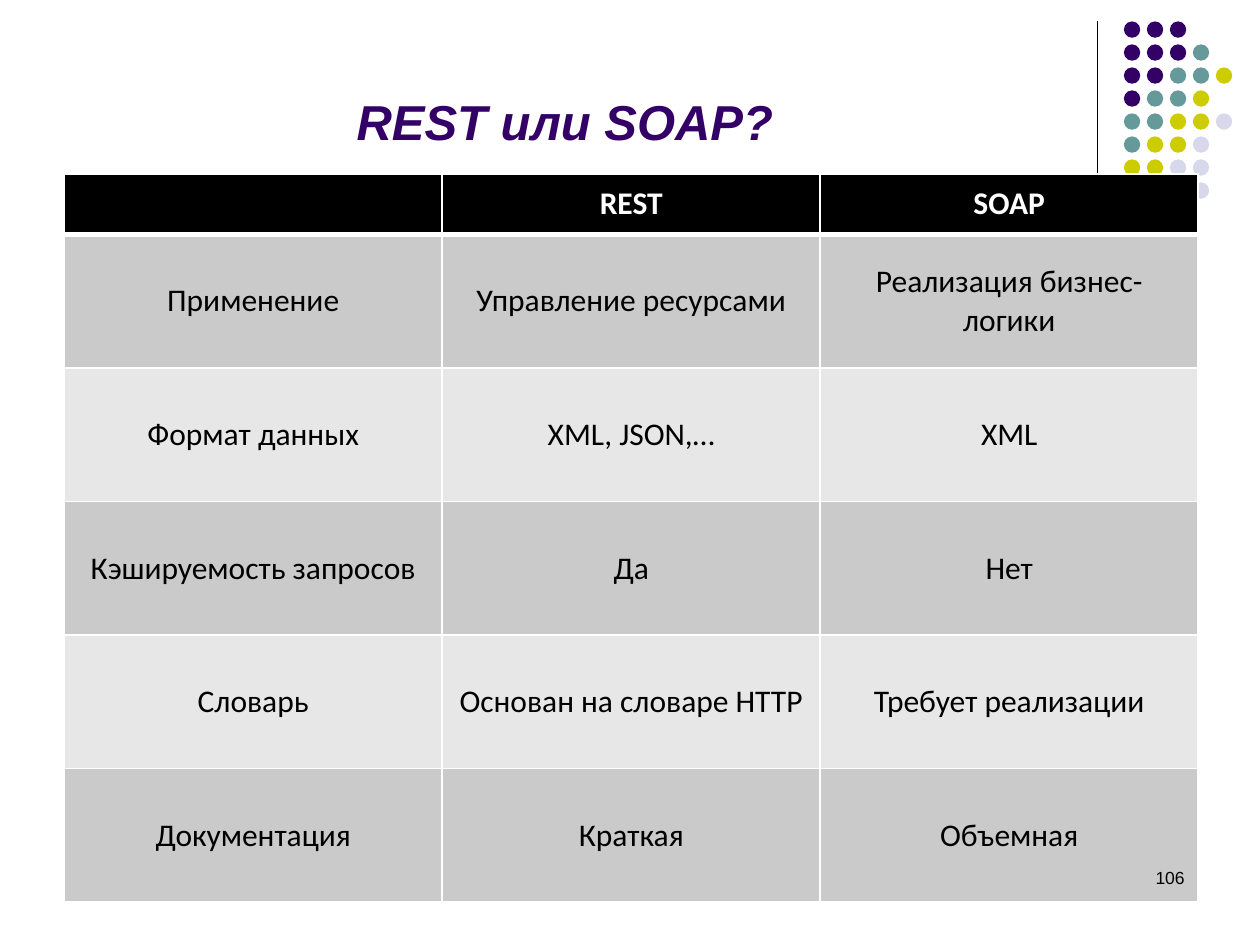
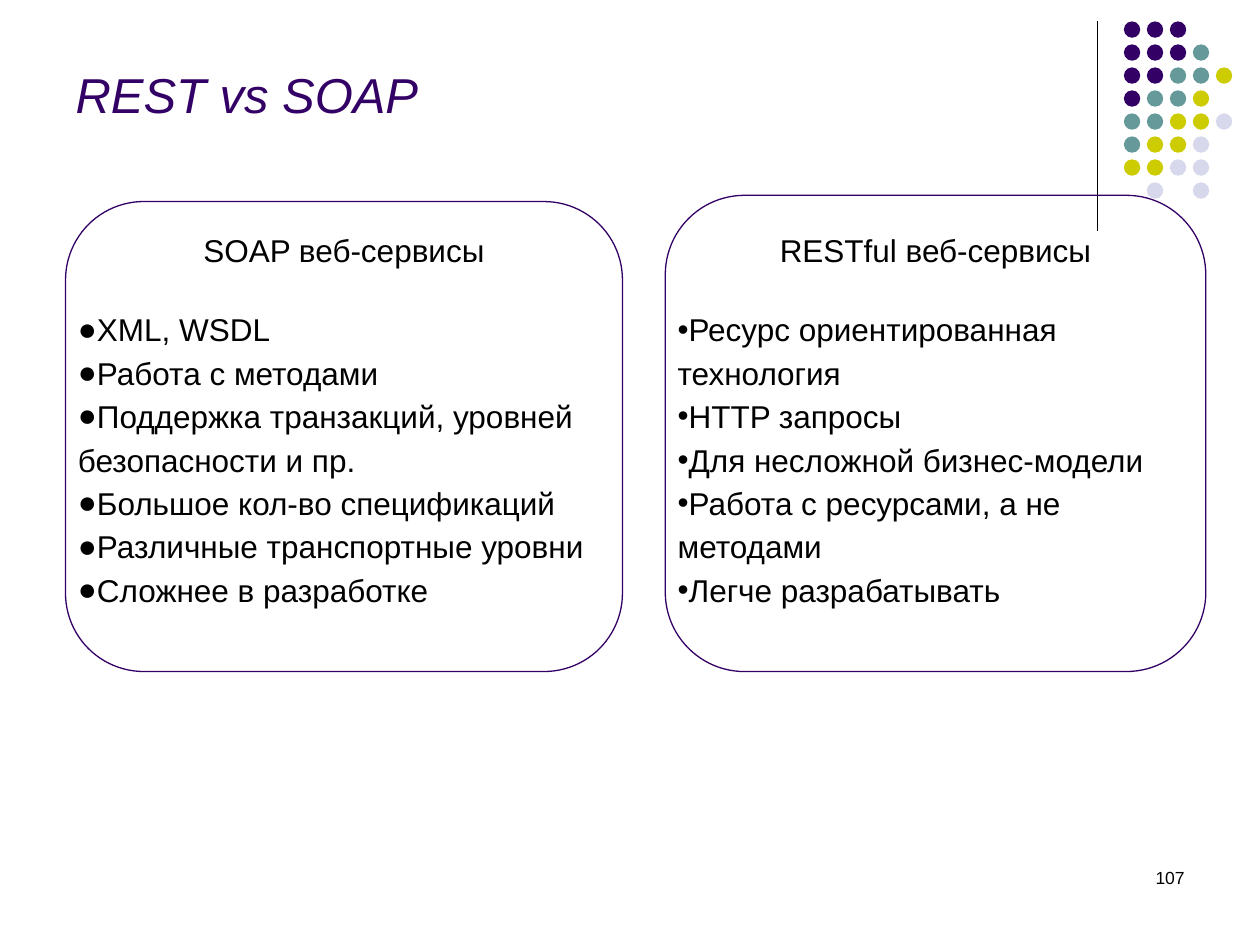
from lxml import etree
from pptx import Presentation
from pptx import util as u
from pptx.dml.color import RGBColor
from pptx.enum import shapes, text
from pptx.oxml import ns

PURPLE = RGBColor(0x33, 0x00, 0x66)
TEAL = RGBColor(0x66, 0x99, 0x99)
LIME = RGBColor(0xCC, 0xCC, 0x00)
LAVENDER = RGBColor(0xD8, 0xD8, 0xEC)
BLACK = RGBColor(0x00, 0x00, 0x00)
WHITE = RGBColor(0xFF, 0xFF, 0xFF)
BAND_DARK = RGBColor(0xCA, 0xCA, 0xCA)
BAND_LIGHT = RGBColor(0xE7, 0xE7, 0xE7)

BODY_FONT = "Arial"
TABLE_FONT = "Calibri"

DOT_COLOURS = {"P": PURPLE, "T": TEAL, "Y": LIME, "L": LAVENDER}
DOT_ROWS = ["PPP", "PPPT", "PPTTY", "PTTY", "TTYYL", "TYYL", "YYLL", " L L"]
DOT_SIZE = 0.13
DOT_PITCH = 0.73 / 4

COMPARISON = [
    ["", "REST", "SOAP"],
    ["Применение", "Управление ресурсами", "Реализация бизнес-\nлогики"],
    ["Формат данных", "XML, JSON,…", "XML"],
    ["Кэшируемость запросов", "Да", "Нет"],
    ["Словарь", "Основан на словаре HTTP", "Требует реализации"],
    ["Документация", "Краткая", "Объемная"],
]
SOAP_POINTS = [
    "XML, WSDL",
    "Работа с методами",
    "Поддержка транзакций, уровней безопасности и пр.",
    "Большое кол-во спецификаций",
    "Различные транспортные уровни",
    "Сложнее в разработке",
]
REST_POINTS = [
    "Ресурс ориентированная технология",
    "HTTP запросы",
    "Для несложной бизнес-модели",
    "Работа с ресурсами, а не методами",
    "Легче разрабатывать",
]


def inches(box):
    """Convert a box of numbers to lengths."""
    return [u.Inches(length) for length in box]


def format_paragraph(paragraph, size, colour, font=BODY_FONT, bold=False, italic=False,
                     align=text.PP_ALIGN.LEFT):
    """Align a paragraph and style all its runs."""
    paragraph.alignment = align
    for run in paragraph.runs:
        run.font.name = font
        run.font.size = u.Pt(size)
        run.font.bold = bold
        run.font.italic = italic
        run.font.color.rgb = colour


def add_dots(slide, left, top):
    """Draw the triangular field of coloured dots."""
    dots = slide.shapes.add_group_shape()
    for row, pattern in enumerate(DOT_ROWS):
        for column, key in enumerate(pattern):
            if key in DOT_COLOURS:
                box = (left + column * DOT_PITCH, top + row * DOT_PITCH, DOT_SIZE, DOT_SIZE)
                dot = dots.shapes.add_shape(shapes.MSO_SHAPE.OVAL, *inches(box))
                dot.shadow.inherit = False
                dot.fill.solid()
                dot.fill.fore_color.rgb = DOT_COLOURS[key]
                dot.line.fill.background()


def add_rule(slide, x, top, bottom):
    """Draw the thin vertical rule beside the dots."""
    rule = slide.shapes.add_connector(shapes.MSO_CONNECTOR.STRAIGHT, *inches((x, top, x, bottom)))
    rule.line.color.rgb = BLACK
    rule.line.width = u.Pt(0.75)
    etree.SubElement(rule._element.spPr, ns.qn("a:effectLst"))


def add_page_number(slide, number, box):
    """Write the page number at the right of its box."""
    page_number = slide.shapes.add_textbox(*inches(box))
    page_number.text_frame.word_wrap = True
    page_number.text_frame.text = str(number)
    format_paragraph(page_number.text_frame.paragraphs[0], 10, BLACK, align=text.PP_ALIGN.RIGHT)


def add_base_slide(deck, heading, title_box, number, bold=False):
    """Add a titled slide with the shared decoration and page number."""
    slide = deck.slides.add_slide(deck.slide_layouts[5])
    add_rule(slide, 8.71, 0.17, 1.83)
    add_dots(slide, 8.92, 0.17)
    title = slide.shapes.title
    title.left, title.top, title.width, title.height = inches(title_box)
    frame = title.text_frame
    frame.text = heading
    frame.word_wrap = True
    frame.auto_size = text.MSO_AUTO_SIZE.NONE
    frame.vertical_anchor = text.MSO_ANCHOR.BOTTOM
    format_paragraph(frame.paragraphs[0], 28, PURPLE, bold=bold, italic=True)
    return slide


def set_borders(cell, top, bottom):
    """Give a cell white borders, with top and bottom widths in points."""
    properties = cell._tc.get_or_add_tcPr()
    for tag, width in (("lnL", 1), ("lnR", 1), ("lnT", top), ("lnB", bottom)):
        line = etree.SubElement(properties, ns.qn(f"a:{tag}"), w=str(u.Pt(width)))
        fill = etree.SubElement(line, ns.qn("a:solidFill"))
        etree.SubElement(fill, ns.qn("a:srgbClr"), val=str(WHITE))


def add_comparison(slide, rows, box, header_height):
    """Add the comparison table with a header and equal banded rows."""
    left, top, width, height = box
    table = slide.shapes.add_table(len(rows), len(rows[0]), *inches(box)).table
    row_height = (height - header_height) / (len(rows) - 1)
    for column in table.columns:
        column.width = u.Inches(width / len(rows[0]))
    for r, labels in enumerate(rows):
        is_header = r == 0
        table.rows[r].height = u.Inches(header_height if is_header else row_height)
        band = BLACK if is_header else (BAND_DARK if r % 2 else BAND_LIGHT)
        for c, label in enumerate(labels):
            cell = table.cell(r, c)
            set_borders(cell, 3 if r == 1 else 1, 3 if is_header else 1)
            cell.fill.solid()
            cell.fill.fore_color.rgb = band
            cell.margin_left = cell.margin_right = cell.margin_top = cell.margin_bottom = 0
            cell.vertical_anchor = text.MSO_ANCHOR.MIDDLE
            cell.text_frame.text = label
            for paragraph in cell.text_frame.paragraphs:
                format_paragraph(paragraph, 18, WHITE if is_header else BLACK, TABLE_FONT,
                                 bold=is_header, align=text.PP_ALIGN.CENTER)


def add_bullet(paragraph, mark):
    """Give a paragraph a black bullet that the text follows directly."""
    properties = paragraph._p.get_or_add_pPr()
    properties.set("marL", "0")
    properties.set("indent", str(u.Inches(-0.12)))
    colour = etree.SubElement(properties, ns.qn("a:buClr"))
    etree.SubElement(colour, ns.qn("a:srgbClr"), val=str(BLACK))
    etree.SubElement(properties, ns.qn("a:buFont"), typeface=BODY_FONT)
    etree.SubElement(properties, ns.qn("a:buChar"), char=mark)


def add_panel(slide, heading, points, mark, box, text_top):
    """Draw a rounded outline with a centred heading and a bulleted list."""
    left, top, width, height = box
    outline = slide.shapes.add_shape(shapes.MSO_SHAPE.ROUNDED_RECTANGLE, *inches(box))
    outline.shadow.inherit = False
    outline.adjustments[0] = 1 / 6
    outline.fill.background()
    outline.line.color.rgb = PURPLE
    outline.line.width = u.Pt(0.75)

    text_box = (left, top + text_top, width, height - text_top)
    frame = slide.shapes.add_textbox(*inches(text_box)).text_frame
    frame.word_wrap = True
    frame.margin_left = frame.margin_right = u.Inches(0.1)
    frame.margin_top = frame.margin_bottom = u.Inches(0.1)
    frame.text = heading
    format_paragraph(frame.paragraphs[0], 18, BLACK, align=text.PP_ALIGN.CENTER)
    frame.paragraphs[0].space_after = u.Pt(20.7)
    for point in points:
        paragraph = frame.add_paragraph()
        paragraph.text = point
        paragraph.line_spacing = 1.15
        format_paragraph(paragraph, 18, BLACK)
        add_bullet(paragraph, mark)


def build_choice_slide(deck, number, number_box):
    """Build the slide with the comparison table."""
    slide = add_base_slide(deck, "REST или SOAP?", (2.73, 0.76, 4.53, 0.48), number, bold=True)
    add_comparison(slide, COMPARISON, (0.51, 1.38, 9, 5.78), 0.48)
    add_page_number(slide, number, number_box)


def build_versus_slide(deck, number, number_box):
    """Build the slide with the two panels."""
    slide = add_base_slide(deck, "REST vs SOAP", (0.5, 0.35, 8.71, 0.68), number)
    add_panel(slide, "SOAP веб-сервисы", SOAP_POINTS, "●", (0.52, 1.6, 4.42, 3.73), 0.13)
    add_panel(slide, "RESTful веб-сервисы", REST_POINTS, "•", (5.28, 1.55, 4.29, 3.78), 0.18)
    add_page_number(slide, number, number_box)


def main():
    """Build and save the deck."""
    deck = Presentation()
    deck.slide_width, deck.slide_height = u.Inches(10), u.Inches(7.5)
    number_box = (7.17, 6.83, 2.33, 0.5)
    for number, build in enumerate((build_choice_slide, build_versus_slide), start=106):
        build(deck, number, number_box)
    deck.save("out.pptx")


if __name__ == "__main__":
    main()
